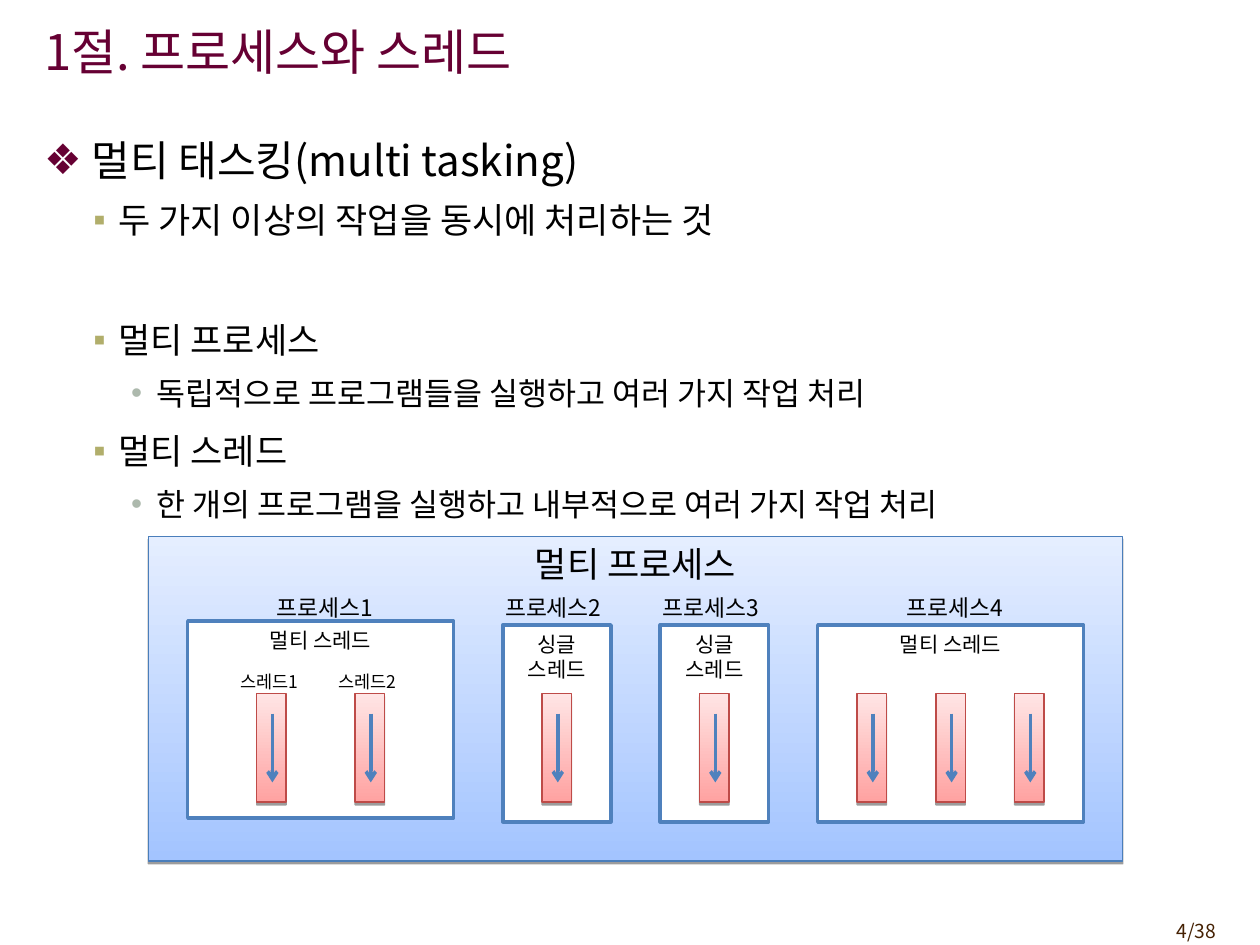
from lxml.etree import SubElement
from pptx import Presentation
from pptx.dml.color import RGBColor
from pptx.enum.dml import MSO_THEME_COLOR
from pptx.enum.shapes import MSO_CONNECTOR, MSO_SHAPE
from pptx.enum.text import MSO_ANCHOR, MSO_AUTO_SIZE, PP_ALIGN
from pptx.oxml import parse_xml
from pptx.oxml.ns import nsdecls, qn
from pptx.util import Inches, Pt

FONT = "Noto Sans CJK KR"
colour = RGBColor.from_string

deck = Presentation()
deck.slide_width, deck.slide_height = Inches(10), Inches(7.5)
slide = deck.slides.add_slide(deck.slide_layouts[1])

# The diagram sits on a square grid, 32 cells to the slide's width
CELL = deck.slide_width / 32
GRID_LEFT, GRID_TOP = Inches(0.24), Inches(4.96)


def place(column, row, columns, rows):
    """Turn grid cells into left, top, width and height."""
    return (int(GRID_LEFT + column * CELL), int(GRID_TOP + row * CELL),
            int(columns * CELL), int(rows * CELL))


def write(paragraph, words, size, ink="000000", align=PP_ALIGN.LEFT):
    paragraph.alignment = align
    run = paragraph.add_run()
    run.text = words
    run.font.size = Pt(size)
    run.font.name = FONT
    run.font.color.rgb = colour(ink)
    SubElement(run.font._element, qn("a:ea"), typeface=FONT)


# Title
title = slide.shapes.title
title.left, title.top, title.width, title.height = (
    Inches(0.25), Inches(0.09), Inches(8.27), Inches(0.63))
title.text_frame.auto_size = MSO_AUTO_SIZE.NONE
title.text_frame.vertical_anchor = MSO_ANCHOR.MIDDLE
write(title.text_frame.paragraphs[0], "1절. 프로세스와 스레드", 28, "660033")

# Outline: bullet, its colour, text size, indent, hanging, line spacing, before, after
LEVELS = [
    ("❖", "660033", 24, 0.38, 0.38, 1.0, 6, 0),
    ("▪", "B1AE6B", 20, 0.59, 0.2, 1.1, 5, 3),
    ("•", "ADB9AD", 18, 0.89, 0.2, 1.0, 4.5, 3),
]
TOPIC_GAP = 34.5
outline = [
    (0, "멀티 태스킹(multi tasking)", 0),
    (1, "두 가지 이상의 작업을 동시에 처리하는 것", 0),
    (1, "멀티 프로세스", TOPIC_GAP),
    (2, "독립적으로 프로그램들을 실행하고 여러 가지 작업 처리", 0),
    (1, "멀티 스레드", 0),
    (2, "한 개의 프로그램을 실행하고 내부적으로 여러 가지 작업 처리", 0),
]
body = slide.placeholders[1]
body.left, body.top, body.width, body.height = (
    Inches(0.25), Inches(1.02), Inches(9.5), Inches(6.25))
body.text_frame.auto_size = MSO_AUTO_SIZE.NONE
for number, (level, words, gap) in enumerate(outline):
    bullet, bullet_ink, size, indent, hanging, spacing, before, after = LEVELS[level]
    point = body.text_frame.add_paragraph() if number else body.text_frame.paragraphs[0]
    point.level = level
    point.line_spacing = spacing
    point.space_before, point.space_after = Pt(before + gap), Pt(after)
    write(point, words, size)
    properties = point._p.get_or_add_pPr()
    properties.set("marL", str(Inches(indent)))
    properties.set("indent", str(-Inches(hanging)))
    SubElement(SubElement(properties, qn("a:buClr")), qn("a:srgbClr"), val=bullet_ink)
    SubElement(properties, qn("a:buChar"), char=bullet)

# Panel behind the processes
panel = slide.shapes.add_shape(MSO_SHAPE.RECTANGLE, *place(3, -2.25, 24.75, 8.25))
panel.text_frame.vertical_anchor = MSO_ANCHOR.TOP
write(panel.text_frame.paragraphs[0], "멀티 프로세스", 20, align=PP_ALIGN.CENTER)
shaded = [(panel, "A3C4FF", "E5EEFF", "4A7EBB")]

# Processes: column, row, columns, caption lines, label column, thread columns
processes = [
    (4, -0.1, 6.75, ["멀티 스레드"], 5.95, [5.75, 8.25]),
    (12, 0, 2.75, ["싱글", "스레드"], 11.75, [13]),
    (16, 0, 2.75, ["싱글", "스레드"], 15.75, [17]),
    (20, 0, 6.75, ["멀티 스레드"], 21.95, [21, 23, 25]),
]
labels = []
for number, (column, row, columns, caption, label_column, threads) in enumerate(processes, 1):
    process = slide.shapes.add_shape(MSO_SHAPE.RECTANGLE, *place(column, row, columns, 5))
    process.shadow.inherit = False
    process.fill.solid()
    process.fill.fore_color.rgb = colour("FFFFFF")
    process.line.color.rgb = colour("4F81BD")
    process.line.width = Pt(2)
    frame = process.text_frame
    frame.vertical_anchor = MSO_ANCHOR.TOP
    for index, words in enumerate(caption):
        line = frame.add_paragraph() if index else frame.paragraphs[0]
        write(line, words, 12, align=PP_ALIGN.CENTER)
    labels.append((f"프로세스{number}", 13, place(label_column, -0.95, 3.25, 1)))

    for thread_column in threads:
        thread = slide.shapes.add_group_shape()
        bar = thread.shapes.add_shape(
            MSO_SHAPE.RECTANGLE, *place(thread_column, 1.75, 0.75, 2.75))
        shaded.append((bar, "FFA2A1", "FFE5E5", "BE4B48"))
        left, top, width, height = place(thread_column + 0.4, 2.25, 0, 1.75)
        arrow = thread.shapes.add_connector(
            MSO_CONNECTOR.STRAIGHT, left, top, left, top + height)
        arrow.line.color.rgb = colour("4F81BD")
        arrow.line.width = Pt(2)
        SubElement(arrow.line._get_or_add_ln(), qn("a:tailEnd"), type="arrow")
        SubElement(arrow._element.spPr, qn("a:effectLst"))

# Gradient, outline and drop shadow shared by the panel and the thread bars
for block, bottom_fill, top_fill, edge in shaded:
    block.fill.gradient()
    block.fill.gradient_angle = 90
    for stop, position, ink in zip(block.fill.gradient_stops, (0, 1), (bottom_fill, top_fill)):
        stop.position = position
        stop.color.rgb = colour(ink)
    block.line.color.rgb = colour(edge)
    block.line.width = Pt(0.75)
    block._element.spPr.append(parse_xml(
        f'<a:effectLst {nsdecls("a")}><a:outerShdw blurRad="0" dist="{Pt(1.6)}" '
        'dir="5400000" rotWithShape="0"><a:srgbClr val="000000">'
        '<a:alpha val="38000"/></a:srgbClr></a:outerShdw></a:effectLst>'))

# Labels over the processes and over the first two threads
for number, column in enumerate(processes[0][-1], 1):
    labels.append((f"스레드{number}", 10, place(column - 0.73, 1, 2.2, 0.86)))
for words, size, box in labels:
    label = slide.shapes.add_textbox(*box).text_frame
    label.word_wrap = False
    label.auto_size = MSO_AUTO_SIZE.SHAPE_TO_FIT_TEXT
    write(label.paragraphs[0], words, size)

# Page number
page = slide.shapes.add_textbox(Inches(8.92), Inches(7.25), Inches(0.83), Inches(0.29))
page.text_frame.word_wrap = True
write(page.text_frame.paragraphs[0], "4/38", 11, "452103", PP_ALIGN.RIGHT)

deck.save("out.pptx")
